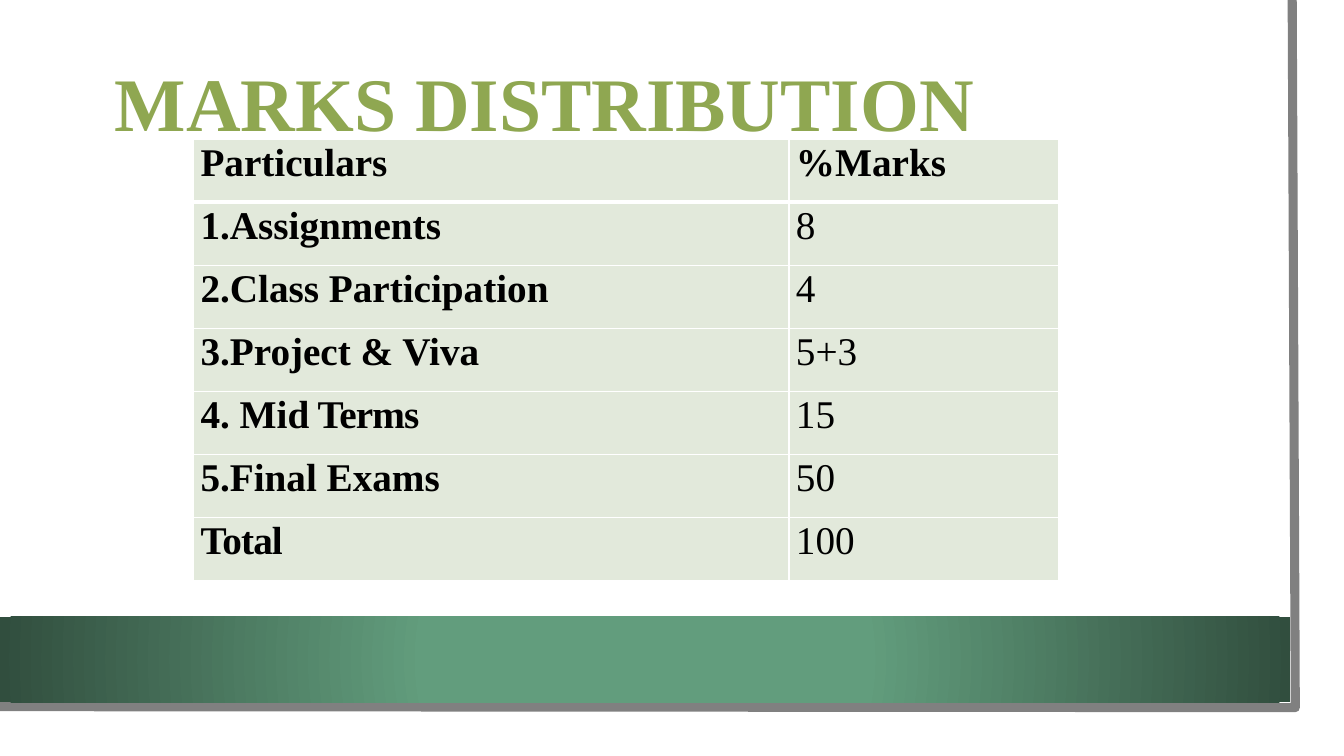
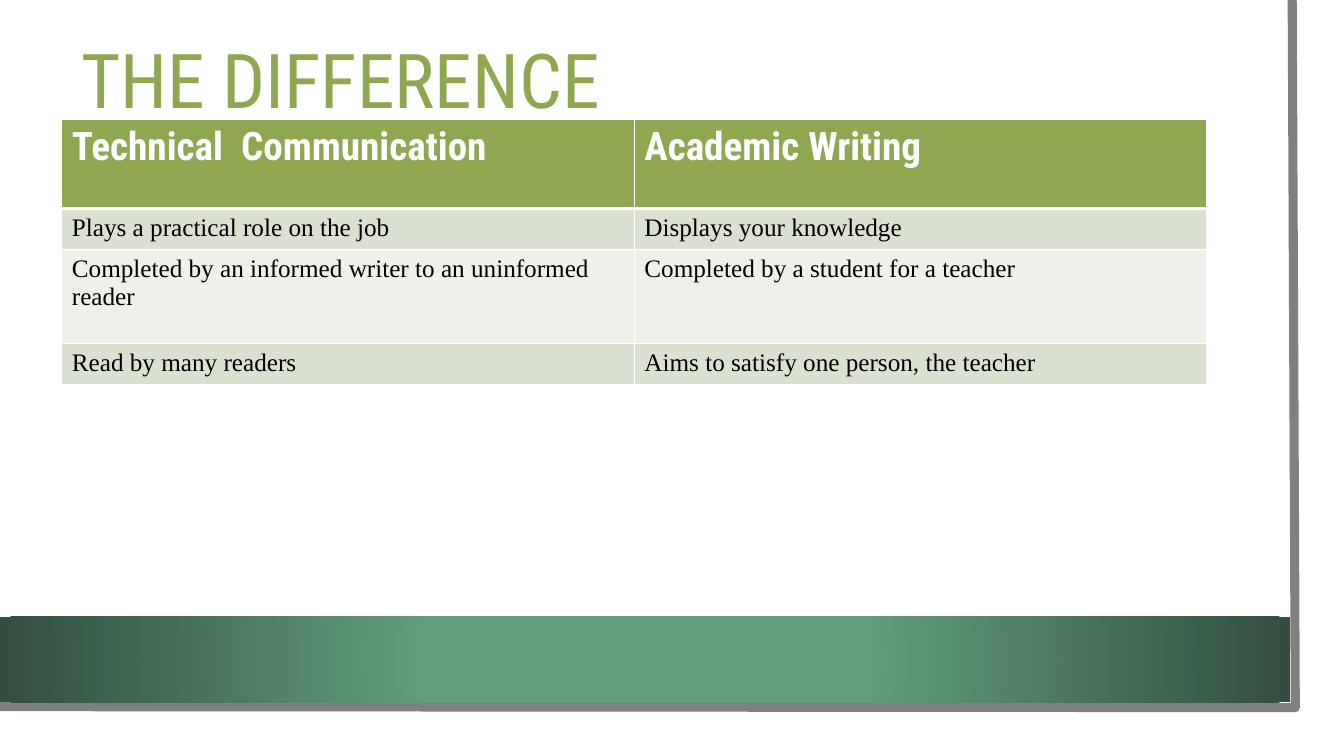
"""Build two course slides, a marks table and a comparison table, on one framed layout."""
from dataclasses import dataclass

import lxml.etree
import pptx
import pptx.dml.color
import pptx.enum.shapes
import pptx.enum.text
import pptx.oxml.ns
import pptx.util

WIDTH = pptx.util.Inches(13.33)
HEIGHT = pptx.util.Inches(7.5)
SERIF = "Times New Roman"
CONDENSED = "Roboto Condensed"
COLOURS = {
    "white": "FFFFFF",
    "black": "000000",
    "accent": "8FA751",
    "edge": "808080",
    "band": "629D7D",
    "band_end": "314E3E",
    "marks": "E2E9DB",
    "odd": "DBE1D0",
    "even": "EEF1E9",
}


@dataclass(frozen=True)
class Box:
    """A rectangle in percent of the slide."""
    left: float
    top: float
    width: float
    height: float


@dataclass(frozen=True)
class Span:
    """A piece of text with its letter spacing in points."""
    text: str
    tracking: float = 0


@dataclass(frozen=True)
class CellStyle:
    """The look of a table cell."""
    fill: str
    font: str = SERIF
    size: float = 18
    colour: str = "black"
    bold: bool = False


@dataclass(frozen=True)
class Grid:
    """A table's place and its column and row sizes in percent of the slide."""
    left: float
    top: float
    columns: tuple
    rows: tuple
    margins: tuple = (0.1, 0.05)
    leading: float | None = None


def across(share: float) -> int:
    """Turn a percentage of the slide width into a length."""
    return round(WIDTH * share / 100)


def down(share: float) -> int:
    """Turn a percentage of the slide height into a length."""
    return round(HEIGHT * share / 100)


def rgb(name: str) -> pptx.dml.color.RGBColor:
    """Look up a named colour."""
    return pptx.dml.color.RGBColor.from_string(COLOURS[name])


def add_child(parent, tag: str, **attributes: str):
    """Append a drawing element."""
    return lxml.etree.SubElement(parent, pptx.oxml.ns.qn(tag), attributes)


def write(frame, *spans: Span, font: str = SERIF, size: float = 18, colour: str = "black",
          bold: bool = False, leading=None) -> None:
    """Write one left-aligned paragraph into a text frame."""
    para = frame.paragraphs[0]
    para.alignment = pptx.enum.text.PP_ALIGN.LEFT
    if leading is not None:
        para.line_spacing = leading
    for span in spans:
        run = para.add_run()
        run.text = span.text
        run.font.name, run.font.size, run.font.bold = font, pptx.util.Pt(size), bold
        run.font.color.rgb = rgb(colour)
        if span.tracking:
            run.font._element.set("spc", str(round(span.tracking * 100)))


def add_panel(page, box: Box):
    """Add a plain rectangle without line or shadow."""
    panel = page.shapes.add_shape(
        pptx.enum.shapes.MSO_SHAPE.RECTANGLE,
        across(box.left), down(box.top), across(box.width), down(box.height))
    panel.shadow.inherit = False
    panel.line.fill.background()
    return panel


def move_frame_to_layout(page) -> None:
    """Draw the sheet, its edge and the band, and keep them on the layout."""
    sheet = add_panel(page, Box(0, 0, 98.25, 96.93))
    sheet.fill.solid()
    sheet.fill.fore_color.rgb = rgb("white")

    builder = page.shapes.build_freeform(across(96.15), 0)
    corners = [(96.38, 93.6), (-0.23, 93.47)]
    builder.add_line_segments([(across(x), down(y)) for x, y in corners], close=False)
    edge = builder.convert_to_shape()
    edge.shadow.inherit = False
    edge.fill.background()
    edge.line.color.rgb = rgb("edge")
    edge.line.width = pptx.util.Pt(6.5)

    band = add_panel(page, Box(0, 81.6, 96, 11.33))
    band.fill.gradient()
    stops = zip(band.fill.gradient_stops, ((0.34, "band"), (1, "band_end")))
    for stop, (position, colour) in stops:
        stop.position = position
        stop.color.rgb = rgb(colour)
    gradient = band._element.spPr.find(pptx.oxml.ns.qn("a:gradFill"))
    gradient.remove(gradient.find(pptx.oxml.ns.qn("a:lin")))
    circle = add_child(gradient, "a:path", path="circle")
    add_child(circle, "a:fillToRect", **dict.fromkeys("ltrb", "50000"))

    tree = page.slide_layout.shapes._spTree
    for index, shape in enumerate((sheet, edge, band), start=2):
        tree.insert(index, shape._element)


def add_title(page, text: str, box: Box, margins: tuple = (0.1, 0.05), **text_format) -> None:
    """Place and format the title placeholder."""
    title = page.shapes.title
    title.left, title.top = across(box.left), down(box.top)
    title.width, title.height = across(box.width), down(box.height)
    frame = title.text_frame
    frame.auto_size = pptx.enum.text.MSO_AUTO_SIZE.NONE
    frame.vertical_anchor = pptx.enum.text.MSO_ANCHOR.MIDDLE
    frame.margin_left = frame.margin_right = pptx.util.Inches(margins[0])
    frame.margin_top = frame.margin_bottom = pptx.util.Inches(margins[1])
    write(frame, Span(text), size=54, colour="accent", **text_format)


def add_borders(cell, widths: dict) -> None:
    """Draw white cell borders with the given widths in points."""
    properties = cell._tc.get_or_add_tcPr()
    for side, width in widths.items():
        line = add_child(properties, f"a:ln{side}", w=str(pptx.util.Pt(width)))
        add_child(add_child(line, "a:solidFill"), "a:srgbClr", val=COLOURS["white"])


def add_grid(page, grid: Grid, rows: list, styles: list) -> None:
    """Add a table whose cells follow the style at the same place."""
    table = page.shapes.add_table(
        len(grid.rows), len(grid.columns), across(grid.left), down(grid.top),
        across(sum(grid.columns)), down(sum(grid.rows))).table
    table.horz_banding = False
    for column, share in zip(table.columns, grid.columns):
        column.width = across(share)
    for row, share in zip(table.rows, grid.rows):
        row.height = down(share)
    leading = pptx.util.Pt(grid.leading) if grid.leading else None
    for row_index, (texts, row_styles) in enumerate(zip(rows, styles)):
        for column_index, (text, style) in enumerate(zip(texts, row_styles)):
            cell = table.cell(row_index, column_index)
            cell.margin_left = cell.margin_right = pptx.util.Inches(grid.margins[0])
            cell.margin_top = cell.margin_bottom = pptx.util.Inches(grid.margins[1])
            add_borders(cell, {"L": 1, "R": 1, "T": 3 if row_index == 1 else 1,
                               "B": 3 if row_index == 0 else 1})
            cell.fill.solid()
            cell.fill.fore_color.rgb = rgb(style.fill)
            spans = (Span(text),) if isinstance(text, str) else text
            write(cell.text_frame, *spans, font=style.font, size=style.size,
                  colour=style.colour, bold=style.bold, leading=leading)


def fill_marks(page) -> None:
    """Build the marks slide."""
    add_title(page, "MARKS DISTRIBUTION", Box(8.55, 7.33, 82.95, 12.27),
              margins=(0, 0), bold=True, leading=1.0)
    rows = [
        ("Particulars", "%Marks"),
        ("1.Assignments", "8"),
        ("2.Class Participation", "4"),
        ("3.Project & Viva", "5+3"),
        ((Span("4. Mid"), Span(" Terms", -0.6)), "15"),
        ("5.Final Exams", "50"),
        ((Span("Total", -0.6),), "100"),
    ]
    strong = CellStyle("marks", size=28, bold=True)
    plain = CellStyle("marks", size=28)
    grid = Grid(14.4, 18.4, (44.3, 20.1), (8.35,) * len(rows), margins=(0.07, 0), leading=32.6)
    add_grid(page, grid, rows, [(strong, strong)] + [(strong, plain)] * (len(rows) - 1))


def fill_difference(page) -> None:
    """Build the comparison slide."""
    add_title(page, "THE DIFFERENCE", Box(5.32, 2.67, 85.28, 16.8),
              font=CONDENSED, leading=0.9)
    rows = [
        ("Technical  Communication", "Academic Writing"),
        ("Plays a practical role on the job", "Displays your knowledge"),
        ("Completed by an informed writer to an uninformed reader",
         "Completed by a student for a teacher"),
        ("Read by many readers", "Aims to satisfy one person, the teacher"),
    ]
    header = CellStyle("accent", CONDENSED, 28, "white", True)
    odd, even = CellStyle("odd"), CellStyle("even")
    grid = Grid(4.6, 15.8, (42.6, 42.6), (11.8, 5.45, 12.4, 5.45))
    add_grid(page, grid, rows, [(style, style) for style in (header, odd, even, odd)])


def main() -> None:
    """Build and save the deck."""
    deck = pptx.Presentation()
    deck.slide_width, deck.slide_height = WIDTH, HEIGHT
    layout = deck.slide_layouts.get_by_name("Title Only")
    marks, difference = (deck.slides.add_slide(layout) for _ in range(2))
    move_frame_to_layout(marks)
    fill_marks(marks)
    fill_difference(difference)
    deck.save("out.pptx")


if __name__ == "__main__":
    main()
